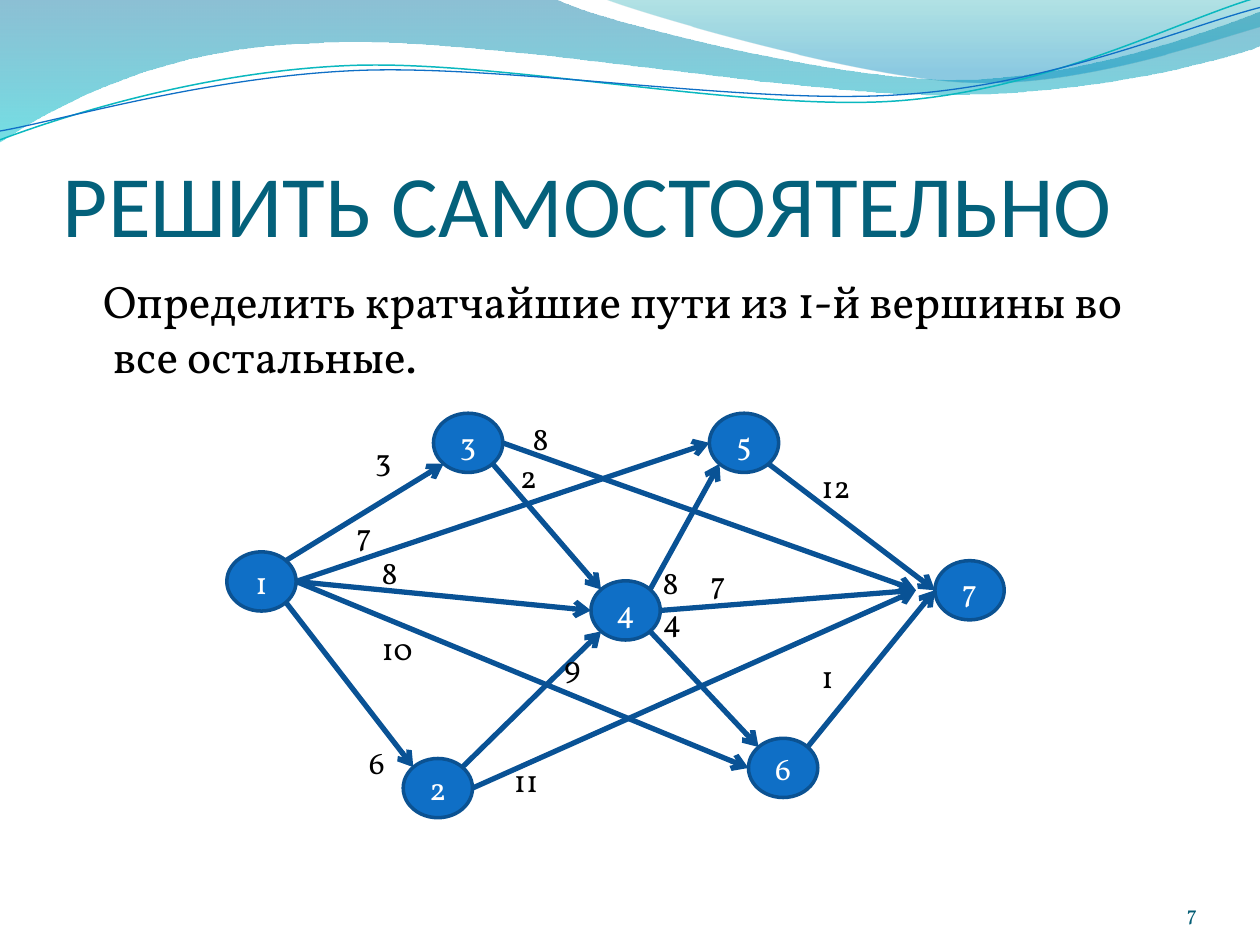
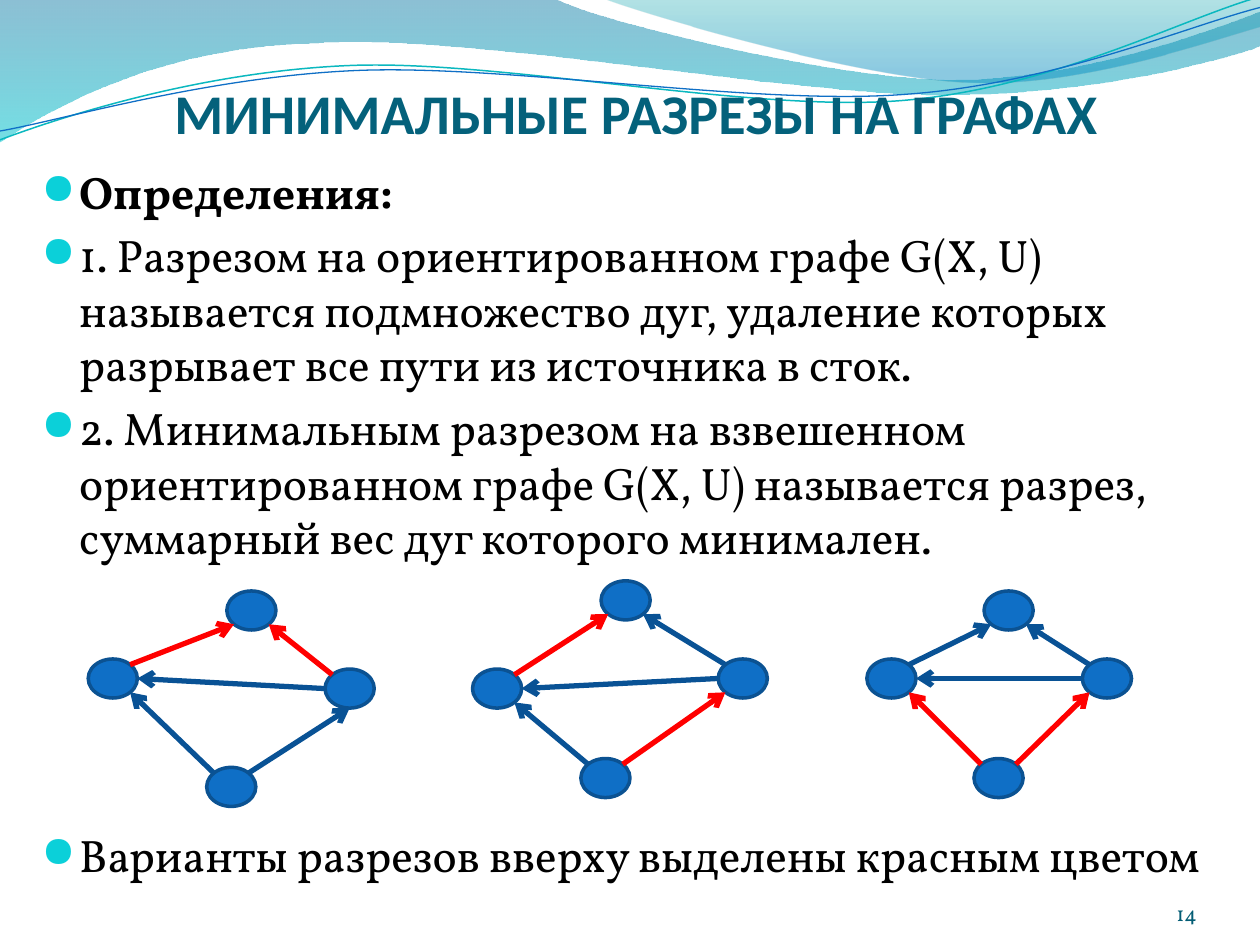
from dataclasses import dataclass
from math import cos, radians, sin

from lxml.etree import SubElement
from pptx import Presentation
from pptx.dml.color import RGBColor
from pptx.enum.shapes import MSO_CONNECTOR, MSO_SHAPE
from pptx.enum.text import MSO_ANCHOR, PP_ALIGN
from pptx.oxml.ns import qn
from pptx.util import Inches, Pt

WHITE = RGBColor(0xFF, 0xFF, 0xFF)
BLACK = RGBColor(0, 0, 0)
TITLE_TEAL = RGBColor(0x04, 0x61, 0x7B)
NUMBER_TEAL = RGBColor(0x04, 0x5D, 0x75)
BULLET_CYAN = RGBColor(0x0B, 0xD0, 0xD9)
NODE_BLUE = RGBColor(0x0F, 0x6F, 0xC6)
NODE_EDGE = RGBColor(0x0B, 0x52, 0x92)
ARC_BLUE = RGBColor(0x09, 0x52, 0x95)
CUT_RED = RGBColor(0xFF, 0, 0)
WAVE_TEAL = RGBColor(0x0A, 0xB8, 0xBF)

HEAD_FONT, BODY_FONT = "Calibri", "Vollkorn"
BODY_SIZE, LABEL_SIZE = 26, 18
LABEL_PITCH = 21.7  # points per line of weight labels
GRAPH_ROOM = 145  # points left free for the graphs between body paragraphs
HANGING = 0.3
WAVE_TILT = -2.7  # degrees

# Compass directions in degrees, clockwise from east
ANGLES = {d: i * 45 for i, d in enumerate(("E", "SE", "S", "SW", "W", "NW", "N", "NE"))}


@dataclass(frozen=True)
class Stop:
    """One gradient stop with its opacity in percent."""
    position: float
    color: RGBColor
    opacity: int


@dataclass(frozen=True)
class Wave:
    """An outline: start point, then points (2 numbers) or cubic curves (6)."""
    start: tuple
    steps: tuple
    stops: tuple = ()
    color: RGBColor = NODE_BLUE
    width: float = 0
    center: tuple = (0, 0)
    tilt: float = 0


@dataclass(frozen=True)
class Node:
    """A graph vertex."""
    left: float
    top: float
    width: float = 0.55
    height: float = 0.47
    text: str = ""

    def site(self, compass: str) -> tuple:
        """Return the point of the rim in a compass direction."""
        a = radians(ANGLES[compass])
        return (self.left + self.width / 2 * (1 + cos(a)),
                self.top + self.height / 2 * (1 + sin(a)))


@dataclass(frozen=True)
class Arc:
    """An arrow between rim points of two nodes, ending gap inches to the left."""
    tail: str
    tail_site: str
    head: str
    head_site: str
    gap: float = 0


@dataclass(frozen=True)
class Label:
    """A weight in a column: lines skipped above it, indent and list number."""
    text: str
    skip: int = 0
    indent: float = 0
    number: int = 0


@dataclass(frozen=True)
class Item:
    """A body paragraph with extra points of space above it."""
    text: str
    bold: bool = False
    room: float = 0


WAVES = (
    Wave((0, 0), ((4.4, -0.01), (4.76, 0.17, 6.64, 0.63, 7.58, 0.63),
                  (8.53, 0.63, 9.58, 0.26, 10, 0.09), (10.01, 0.36),
                  (9.83, 0.44, 8.7, 0.76, 7.46, 0.75), (6.22, 0.75, 3.82, 0.28, 2.57, 0.34),
                  (1.29, 0.36, 0.46, 0.83, -0.01, 1.13)),
         (Stop(0, RGBColor(0, 0x74, 0xA1), 45), Stop(1, RGBColor(0, 0xC6, 0xCF), 55))),
    Wave((4.79, -0.01), ((5.09, 0.11, 6.82, 0.62, 7.69, 0.65),
                         (8.56, 0.69, 9.61, 0.32, 10, 0.21), (10, 0)),
         (Stop(0, RGBColor(0, 0xA1, 0xA9), 30), Stop(0.8, RGBColor(0, 0x8B, 0xBF), 45))),
    Wave((0, 1.11), ((0.48, 0.93, 1.58, 0.57, 2.77, 0.52), (3.95, 0.47, 5.93, 0.89, 7.13, 0.8),
                     (8.33, 0.71, 9.38, 0.15, 9.98, -0.02)),
         color=WAVE_TEAL, width=0.85, center=(4.99, 0.57), tilt=WAVE_TILT),
    Wave((0, 1.04), ((0.47, 0.96, 1.64, 0.61, 2.83, 0.56), (4.03, 0.51, 5.97, 0.84, 7.17, 0.75),
                     (8.36, 0.67, 9.41, 0.21, 10, 0.06)),
         width=0.75, center=(5, 0.59), tilt=WAVE_TILT),
)

PATH_NODES = {name: Node(x, y, text=name) for name, x, y in (
    ("1", 1.8, 4.38), ("7", 7.42, 4.45), ("6", 5.94, 5.86), ("5", 5.63, 3.28),
    ("4", 4.69, 4.61), ("3", 3.44, 3.28), ("2", 3.2, 6.02))}
PATH_ARCS = (
    Arc("1", "NE", "3", "SW"), Arc("1", "SE", "2", "NW"), Arc("2", "NE", "4", "SW"),
    Arc("3", "SE", "4", "NW"), Arc("4", "SE", "6", "NW"), Arc("4", "NE", "5", "SW"),
    Arc("5", "SE", "7", "W"), Arc("6", "NE", "7", "W"), Arc("3", "E", "7", "W", 0.15),
    Arc("2", "E", "7", "W", 0.15), Arc("1", "E", "5", "W"), Arc("1", "E", "6", "W"),
    Arc("1", "E", "4", "W"), Arc("4", "E", "7", "W", 0.15))
WEIGHT_COLUMNS = (
    ((2.73, 3.44, 0.7, 2.83), (Label("3", 0, 0.15), Label("7", 1), Label("8", 0, 0.2),
                               Label("10", 1, 0.2), Label("6", 2, 0.1))),
    ((3.98, 3.28, 0.94, 3.13), (Label("8", 0, 0.15), Label("2", 0, 0.05),
                                Label("9", 4, 0.4), Label("11", 2))),
    ((5.16, 4.42, 0.78, 1.93), (Label("7", 0, 0.38, 8), Label("4"))),
    ((6.17, 3.66, 0.78, 2.83), (Label("12", 0, 0.25), Label("1", 4, 0.25))),
)

# Per graph: top, left, right and bottom node corners, arcs in the cut, site of the B-R head
CUT_GRAPHS = (
    (((1.8, 4.69), (0.7, 5.23), (2.58, 5.31), (1.64, 6.09)), ("LT", "RT"), "S"),
    (((4.77, 4.61), (3.75, 5.31), (5.7, 5.23), (4.61, 6.02)), ("LT", "BR"), "SW"),
    (((7.81, 4.69), (6.88, 5.23), (8.59, 5.23), (7.73, 6.02)), ("BL", "BR"), "SW"),
)


def add_run(p, text: str, size: float, color: RGBColor, font: str = BODY_FONT, bold: bool = False):
    """Append a formatted run to a paragraph."""
    r = p.add_run()
    r.text = text
    r.font.name, r.font.size, r.font.bold = font, Pt(size), bold
    r.font.color.rgb = color


def set_indent(p, left: float, first: float):
    """Set the left margin and first-line indent of a paragraph."""
    pPr = p._p.get_or_add_pPr()
    pPr.set("marL", str(Inches(left)))
    pPr.set("indent", str(Inches(first)))


def add_bullet(p):
    """Give a paragraph a round cyan bullet."""
    pPr = p._p.get_or_add_pPr()
    SubElement(SubElement(pPr, qn("a:buClr")), qn("a:srgbClr"), val=str(BULLET_CYAN))
    SubElement(pPr, qn("a:buSzPct"), val="95000")
    SubElement(pPr, qn("a:buFont"), typeface="OpenSymbol")
    SubElement(pPr, qn("a:buChar"), char="●")


def add_box(s, box: tuple, anchor=MSO_ANCHOR.TOP, insets: tuple = (0.1, 0.05, 0.1, 0.05)):
    """Add a wrapping text box and return its text frame."""
    tf = s.shapes.add_textbox(*map(Inches, box)).text_frame
    tf.word_wrap, tf.vertical_anchor = True, anchor
    tf.margin_left, tf.margin_top, tf.margin_right, tf.margin_bottom = map(Inches, insets)
    return tf


def add_body(s, box: tuple, items: tuple, bullets: bool = True, first: float = -HANGING):
    """Add the body paragraphs."""
    tf = add_box(s, box)
    for i, item in enumerate(items):
        p = tf.add_paragraph() if i else tf.paragraphs[0]
        p.space_before = Pt(BODY_SIZE * 0.2 + item.room)
        set_indent(p, HANGING, first)
        if bullets:
            add_bullet(p)
        add_run(p, item.text, BODY_SIZE, BLACK, bold=item.bold)


def untilt(wave: Wave, x: float, y: float) -> tuple:
    """Return where a point of the wave lies before the wave is tilted."""
    (cx, cy), a = wave.center, radians(-wave.tilt)
    dx, dy = x - cx, y - cy
    return (Inches(cx + dx * cos(a) - dy * sin(a)), Inches(cy + dx * sin(a) + dy * cos(a)))


def add_wave(s, wave: Wave):
    """Draw a translucent band or an open curved line."""
    points = [untilt(wave, *step[i:i + 2]) for step in wave.steps for i in range(0, len(step), 2)]
    builder = s.shapes.build_freeform(*untilt(wave, *wave.start), scale=1.0)
    builder.add_line_segments(points, close=bool(wave.stops))
    sp = builder.convert_to_shape()
    sp.shadow.inherit = False
    sp.rotation = wave.tilt
    segments = iter(list(sp._element.iter(qn("a:lnTo"))))
    for step in wave.steps:
        group = [next(segments) for _ in range(len(step) // 2)]
        if len(group) == 3:
            group[0].tag = qn("a:cubicBezTo")
            for extra in group[1:]:
                group[0].append(extra[0])
                extra.getparent().remove(extra)
    if not wave.stops:
        sp.fill.background()
        sp.line.color.rgb, sp.line.width = wave.color, Pt(wave.width)
        return
    sp.line.fill.background()
    sp.fill.gradient()
    sp.fill.gradient_angle = 270
    for target, stop in zip(sp.fill.gradient_stops, wave.stops):
        target.position, target.color.rgb = stop.position, stop.color
    for color, stop in zip(sp._element.spPr.iter(qn("a:srgbClr")), wave.stops):
        SubElement(color, qn("a:alpha"), val=str(stop.opacity * 1000))


def add_node(s, node: Node):
    """Draw a vertex as an ellipse."""
    sp = s.shapes.add_shape(MSO_SHAPE.OVAL, *map(Inches, (node.left, node.top,
                                                          node.width, node.height)))
    sp.shadow.inherit = False
    sp.fill.solid()
    sp.fill.fore_color.rgb = NODE_BLUE
    sp.line.color.rgb, sp.line.width = NODE_EDGE, Pt(2)
    if node.text:
        tf = sp.text_frame
        tf.vertical_anchor = MSO_ANCHOR.MIDDLE
        p = tf.paragraphs[0]
        p.alignment = PP_ALIGN.CENTER
        add_run(p, node.text, LABEL_SIZE, WHITE)


def add_arc(s, nodes: dict, arc: Arc, color: RGBColor = ARC_BLUE):
    """Draw an arrow between two nodes."""
    x, y = nodes[arc.head].site(arc.head_site)
    ends = (*nodes[arc.tail].site(arc.tail_site), x - arc.gap, y)
    line = s.shapes.add_connector(MSO_CONNECTOR.STRAIGHT, *map(Inches, ends))
    line.line.color.rgb, line.line.width = color, Pt(3)
    SubElement(line.line._get_or_add_ln(), qn("a:tailEnd"), type="arrow")
    SubElement(line._element.spPr, qn("a:effectLst"))


def add_weights(s, box: tuple, labels: tuple):
    """Write a column of arc weights."""
    tf = add_box(s, box)
    for i, label in enumerate(labels):
        p = tf.add_paragraph() if i else tf.paragraphs[0]
        p.space_before = Pt(label.skip * LABEL_PITCH)
        set_indent(p, label.indent, -label.indent if label.number else 0)
        if label.number:
            SubElement(p._p.get_or_add_pPr(), qn("a:buAutoNum"),
                       type="arabicPlain", startAt=str(label.number))
        add_run(p, label.text, LABEL_SIZE, BLACK)


def add_base(prs, title: str, box: tuple, size: float, number: str, centred: bool = False):
    """Add a slide with its waves, title and number."""
    s = prs.slides.add_slide(prs.slide_layouts[6])
    s.background.fill.solid()
    s.background.fill.fore_color.rgb = WHITE
    for wave in WAVES:
        add_wave(s, wave)
    p = add_box(s, box, MSO_ANCHOR.BOTTOM, (0, 0.05, 0, 0)).paragraphs[0]
    p.alignment = PP_ALIGN.CENTER if centred else PP_ALIGN.LEFT
    add_run(p, title, size, TITLE_TEAL, HEAD_FONT, bold=centred)
    p = add_box(s, (8.67, 6.95, 0.83, 0.4), MSO_ANCHOR.BOTTOM, (0, 0, 0, 0)).paragraphs[0]
    p.alignment = PP_ALIGN.RIGHT
    add_run(p, number, 12, NUMBER_TEAL)
    return s


def build_paths_slide(prs):
    """Build the shortest-path exercise."""
    s = add_base(prs, "РЕШИТЬ САМОСТОЯТЕЛЬНО", (0.5, 0.77, 9, 1.25), 50, "7")
    add_body(s, (0.5, 2.12, 9, 4.8),
             (Item("Определить кратчайшие пути из 1-й вершины во все остальные."),),
             bullets=False, first=-0.08)
    for arc in PATH_ARCS:
        add_arc(s, PATH_NODES, arc)
    for box, labels in WEIGHT_COLUMNS:
        add_weights(s, box, labels)
    for node in PATH_NODES.values():
        add_node(s, node)


def build_cuts_slide(prs):
    """Build the definitions of cuts with three example graphs."""
    s = add_base(prs, "МИНИМАЛЬНЫЕ РАЗРЕЗЫ НА ГРАФАХ", (0.55, 0.55, 9, 0.61), 32, "14", True)
    add_body(s, (0.23, 1.25, 9.45, 5.94), (
        Item("Определения:", bold=True),
        Item("1. Разрезом на ориентированном графе G(X, U) называется подмножество дуг, "
             "удаление которых разрывает все пути из источника в сток."),
        Item("2. Минимальным разрезом на взвешенном ориентированном графе G(X, U) "
             "называется разрез, суммарный вес дуг которого минимален."),
        Item("Варианты разрезов вверху выделены красным цветом", room=GRAPH_ROOM)))
    for corners, cut, right_site in CUT_GRAPHS:
        nodes = {name: Node(x, y, 0.39, 0.31) for name, (x, y) in zip("TLRB", corners)}
        for node in nodes.values():
            add_node(s, node)
        for arc in (Arc("R", "NW", "T", "SE"), Arc("L", "NE", "T", "SW"),
                    Arc("B", "NE", "R", right_site), Arc("B", "NW", "L", "SE"),
                    Arc("R", "W", "L", "E")):
            add_arc(s, nodes, arc, CUT_RED if arc.tail + arc.head in cut else ARC_BLUE)


prs = Presentation()
prs.slide_width, prs.slide_height = Inches(10), Inches(7.5)
build_paths_slide(prs)
build_cuts_slide(prs)
prs.save("out.pptx")
